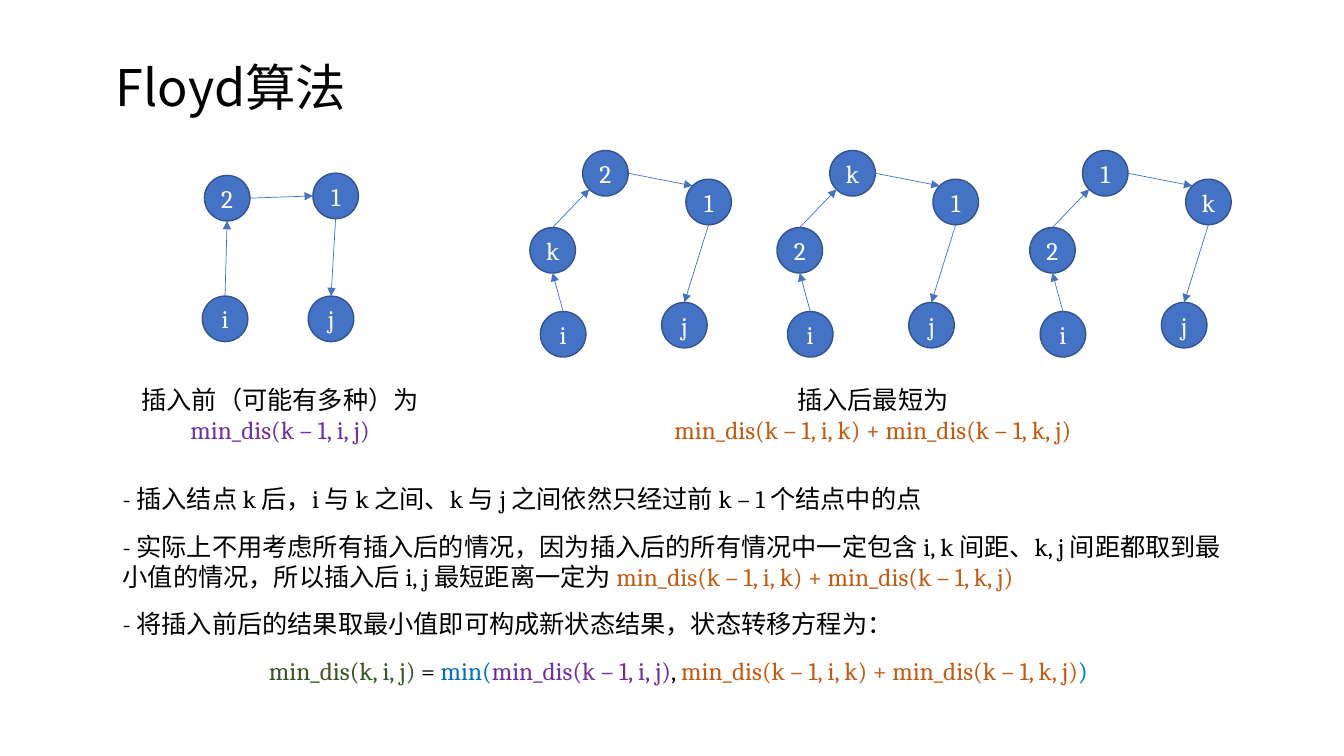
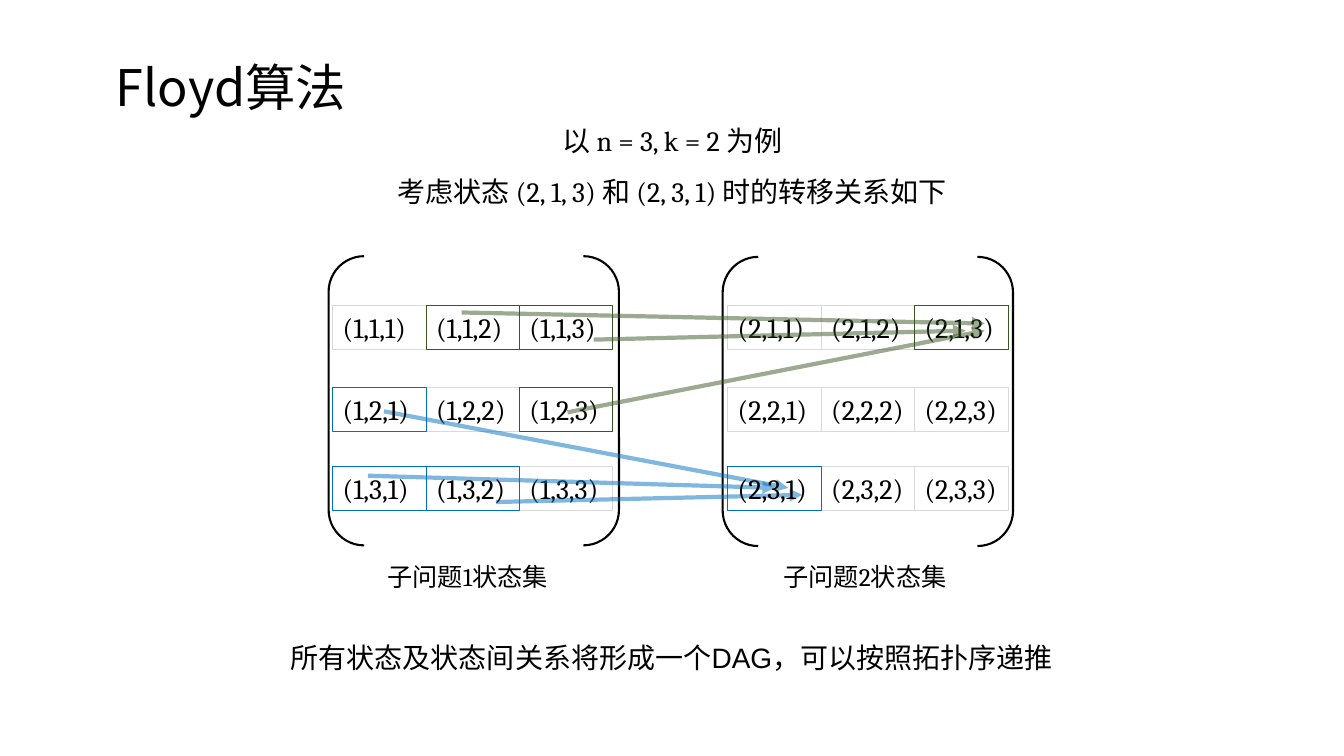
from dataclasses import dataclass
from itertools import product
from math import sqrt
from typing import Optional

from lxml import etree
from pptx import Presentation
from pptx.dml.color import RGBColor
from pptx.enum.shapes import MSO_CONNECTOR, MSO_SHAPE
from pptx.enum.text import MSO_ANCHOR, PP_ALIGN
from pptx.oxml.ns import qn
from pptx.util import Pt

ELLIPSE = MSO_SHAPE.OVAL
BRACKETS = MSO_SHAPE.DOUBLE_BRACKET
STRAIGHT = MSO_CONNECTOR.STRAIGHT
LEFT, CENTER = PP_ALIGN.LEFT, PP_ALIGN.CENTER
MIDDLE = MSO_ANCHOR.MIDDLE


@dataclass(frozen=True)
class Theme:
    black: str = "000000"
    white: str = "FFFFFF"
    grey: str = "D9D9D9"
    node: str = "4472C4"
    node_edge: str = "325491"
    green: str = "385723"
    blue: str = "0070C0"
    purple: str = "7030A0"
    orange: str = "C55A11"
    serif: str = "Cambria"
    sans: str = "Arial"
    han: str = "Noto Sans CJK SC"
    title_size: int = 36
    large_size: int = 20
    body_size: int = 18


THEME = Theme()


@dataclass(frozen=True)
class Span:
    text: str
    color: str = THEME.black


@dataclass(frozen=True)
class Para:
    spans: tuple[Span, ...]
    align: PP_ALIGN = CENTER
    gap: float = 0
    line_spacing: Optional[float] = None


@dataclass(frozen=True)
class Box:
    left: float
    top: float
    width: float
    height: float


@dataclass(frozen=True)
class Link:
    """Joins two nodes, leaving and entering in unit directions from their centres."""
    start: int
    end: int
    leave: tuple[float, float]
    enter: tuple[float, float]


@dataclass(frozen=True)
class Layout:
    places: tuple[tuple[float, float], ...]
    links: tuple[Link, ...]


@dataclass(frozen=True)
class StateSet:
    number: int
    bracket: Box
    cells_left: float
    caption: Box


@dataclass(frozen=True)
class Transfer:
    color: str
    start: tuple[float, float]
    end: tuple[float, float]


NODE_SIZE = 32.5
DIAGONAL = sqrt(0.5)
UP, DOWN, WEST, EAST = (0, -1), (0, 1), (-1, 0), (1, 0)
NORTHWEST, SOUTHWEST = (-DIAGONAL, -DIAGONAL), (-DIAGONAL, DIAGONAL)

BEFORE = Layout(
    ((0, 211.5), (1.5, 125.3), (79, 123.7), (75.7, 211.5)),
    (Link(0, 1, UP, DOWN), Link(1, 2, EAST, WEST), Link(2, 3, DOWN, UP)),
)
AFTER = Layout(
    ((0, 222.5), (-7.5, 162.5), (30.2, 107.5), (103.9, 128), (86.6, 216)),
    (Link(0, 1, UP, DOWN), Link(1, 2, UP, SOUTHWEST),
     Link(2, 3, EAST, NORTHWEST), Link(3, 4, DOWN, UP)),
)
GRAPHS = (
    (BEFORE, 144.5, "i21j"),
    (AFTER, 386, "ik21j"),
    (AFTER, 562.5, "i2k1j"),
    (AFTER, 743, "i21kj"),
)

OLD_COST = Span("min_dis(k – 1, i, j)", THEME.purple)
NEW_COST = Span("min_dis(k – 1, i, k) + min_dis(k – 1, k, j)", THEME.orange)

CELL_WIDTH, CELL_HEIGHT = 66.75, 31.7
ROW_TOPS = (218, 276.5, 333.3)
STATE_SETS = (
    StateSet(1, Box(234.7, 183, 207.4, 206.6), 237.6, Box(234.7, 397.5, 198.7, 29)),
    StateSet(2, Box(516.2, 183.5, 207.4, 206.6), 519.8, Box(510.5, 397.5, 214.6, 29)),
)
CELL_COLORS = {
    **dict.fromkeys(((1, 1, 2), (1, 1, 3), (1, 2, 3), (2, 1, 3)), THEME.green),
    **dict.fromkeys(((1, 2, 1), (1, 3, 1), (1, 3, 2), (2, 3, 1)), THEME.blue),
}
TRANSFERS = (
    Transfer(THEME.green, (329.8, 223.2), (703.4, 231.1)),
    Transfer(THEME.green, (405.4, 294.5), (703.4, 236.2)),
    Transfer(THEME.blue, (354.2, 358.6), (573.1, 353.5)),
    Transfer(THEME.blue, (274.3, 293.8), (563, 348.5)),
    Transfer(THEME.green, (424.1, 242.6), (689.8, 236.2)),
    Transfer(THEME.blue, (262.8, 339.8), (553.7, 348.5)),
)


def rgb(color: str) -> RGBColor:
    return RGBColor.from_string(color)


def place(box: Box) -> tuple[Pt, Pt, Pt, Pt]:
    return Pt(box.left), Pt(box.top), Pt(box.width), Pt(box.height)


def set_outline(shape, color: str, width: float) -> None:
    shape.line.color.rgb = rgb(color)
    shape.line.width = Pt(width)


def write(frame, paras: tuple[Para, ...], size: int, font: str) -> None:
    for index, para in enumerate(paras):
        target = frame.paragraphs[0] if index == 0 else frame.add_paragraph()
        target.alignment = para.align
        target.space_before = target.space_after = Pt(para.gap)
        if para.line_spacing:
            target.line_spacing = para.line_spacing
        for span in para.spans:
            run = target.add_run()
            run.text = span.text
            run.font.size = Pt(size)
            run.font.name = font
            run.font.color.rgb = rgb(span.color)
            latin = run.font._element.find(qn("a:latin"))
            east_asian = etree.Element(qn("a:ea"), typeface=THEME.han)
            latin.addnext(east_asian)


def add_text(page, box: Box, paras: tuple[Para, ...], size: int,
             font: str = THEME.serif, wrap: bool = True):
    text_box = page.shapes.add_textbox(*place(box))
    text_box.text_frame.word_wrap = wrap
    write(text_box.text_frame, paras, size, font)
    return text_box


def add_arrow(page, start: tuple[float, float], end: tuple[float, float],
              color: str, width: float, opacity: int = 100) -> None:
    arrow = page.shapes.add_connector(STRAIGHT, *map(Pt, start + end))
    set_outline(arrow, color, width)
    properties = arrow._element.spPr
    outline = properties.find(qn("a:ln"))
    if opacity < 100:
        tint = outline.find(qn("a:solidFill")).find(qn("a:srgbClr"))
        etree.SubElement(tint, qn("a:alpha"), val=str(opacity * 1000))
    etree.SubElement(outline, qn("a:tailEnd"), type="triangle")
    etree.SubElement(properties, qn("a:effectLst"))


def add_node(page, label: str, left: float, top: float) -> None:
    node = page.shapes.add_shape(ELLIPSE, *place(Box(left, top, NODE_SIZE, NODE_SIZE)))
    node.shadow.inherit = False
    node.fill.solid()
    node.fill.fore_color.rgb = rgb(THEME.node)
    set_outline(node, THEME.node_edge, 1)
    frame = node.text_frame
    frame.word_wrap = False
    frame.vertical_anchor = MIDDLE
    frame.margin_left = frame.margin_right = frame.margin_top = frame.margin_bottom = 0
    write(frame, (Para((Span(label, THEME.white),)),), THEME.body_size, THEME.serif)


def add_graph(page, layout: Layout, left: float, labels: str) -> None:
    radius = NODE_SIZE / 2

    def edge_point(index: int, direction: tuple[float, float]) -> tuple[float, float]:
        x, y = layout.places[index]
        return left + x + radius * (1 + direction[0]), y + radius * (1 + direction[1])

    for label, (x, y) in zip(labels, layout.places, strict=True):
        add_node(page, label, left + x, y)
    for link in layout.links:
        add_arrow(page, edge_point(link.start, link.leave),
                  edge_point(link.end, link.enter), THEME.node, 0.5)


def add_cells(page, color: str) -> None:
    """Draws the state cells that have the given border colour."""
    for states, row, column in product(STATE_SETS, range(3), range(3)):
        state = (states.number, row + 1, column + 1)
        if CELL_COLORS.get(state, THEME.grey) != color:
            continue
        box = Box(states.cells_left + column * CELL_WIDTH, ROW_TOPS[row],
                  CELL_WIDTH, CELL_HEIGHT)
        label = Span("({},{},{})".format(*state))
        cell = add_text(page, box, (Para((label,), LEFT),), THEME.large_size, wrap=False)
        set_outline(cell, color, 0.75)


def add_state_frame(page, states: StateSet) -> None:
    bracket = page.shapes.add_shape(BRACKETS, *place(states.bracket))
    bracket.shadow.inherit = False
    bracket.fill.background()
    bracket.adjustments[0] = 0.123
    set_outline(bracket, THEME.black, 1.5)
    caption = Para((Span(f"子问题{states.number}状态集"),))
    add_text(page, states.caption, (caption,), THEME.body_size)


def add_page(deck):
    page = deck.slides.add_slide(deck.slide_layouts[6])
    add_text(page, Box(75.6, 36.7, 265, 51), (Para((Span("Floyd算法"),), LEFT),),
             THEME.title_size, THEME.han)
    return page


def build_insertion_page(deck) -> None:
    page = add_page(deck)
    for layout, left, labels in GRAPHS:
        add_graph(page, layout, left, labels)
    add_text(page, Box(80.6, 270.7, 239, 51),
             (Para((Span("插入前（可能有多种）为 "), OLD_COST)),), THEME.body_size)
    add_text(page, Box(401, 270.7, 445, 51),
             (Para((Span("插入后最短为"),)), Para((NEW_COST,))), THEME.body_size)
    notes = (
        (Span("- 插入结点 k 后，i 与 k 之间、k 与 j 之间依然只经过前 k – 1 个结点中的点"),),
        (Span("- 实际上不用考虑所有插入后的情况，因为插入后的所有情况中一定包含 i, k 间距、"
              "k, j 间距都取到最小值的情况，所以插入后 i, j 最短距离一定为 "), NEW_COST),
        (Span("- 将插入前后的结果取最小值即可构成新状态结果，状态转移方程为："),),
    )
    equation = (Span("min_dis(k, i, j) ", THEME.green), Span("= "), Span("min(", THEME.blue),
                OLD_COST, Span(", "), NEW_COST, Span(")", THEME.blue))
    paras = tuple(Para(spans, LEFT, 6) for spans in notes) + (Para(equation, gap=6),)
    add_text(page, Box(80.6, 342, 808, 152.6), paras, THEME.body_size)


def build_transfer_page(deck) -> None:
    page = add_page(deck)
    heading = ("以 n = 3, k = 2 为例", "考虑状态 (2, 1, 3) 和 (2, 3, 1) 时的转移关系如下")
    add_text(page, Box(229.7, 85, 501, 67.7),
             tuple(Para((Span(line),), gap=6) for line in heading), THEME.large_size)
    for states in STATE_SETS:
        add_state_frame(page, states)
    add_cells(page, THEME.grey)
    add_cells(page, THEME.green)
    for transfer in TRANSFERS:
        add_arrow(page, transfer.start, transfer.end, transfer.color, 3, opacity=50)
    add_cells(page, THEME.blue)
    summary = Span("所有状态及状态间关系将形成一个DAG，可以按照拓扑序递推")
    add_text(page, Box(173.5, 442, 612.7, 39.6), (Para((summary,), line_spacing=1.5),),
             THEME.large_size, THEME.sans)


def main() -> None:
    deck = Presentation()
    deck.slide_width, deck.slide_height = Pt(960), Pt(540)
    build_insertion_page(deck)
    build_transfer_page(deck)
    deck.save("out.pptx")


if __name__ == "__main__":
    main()
